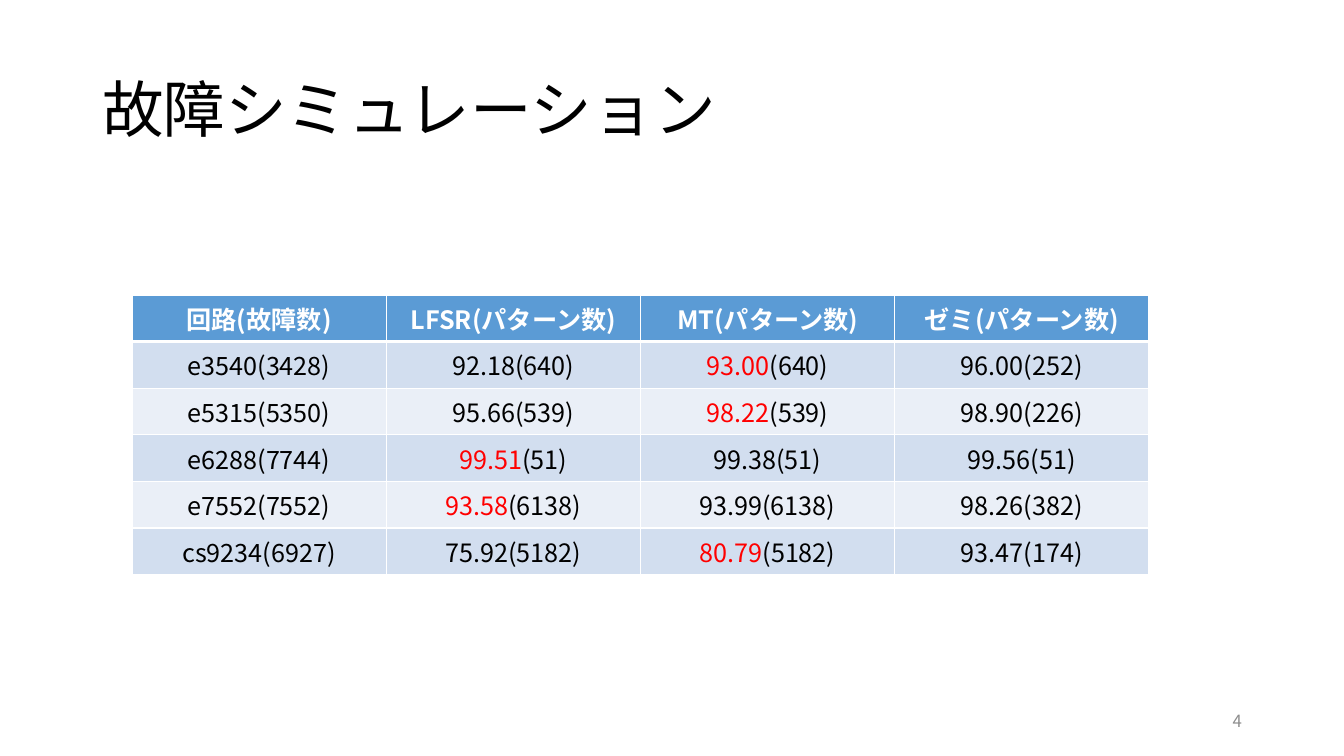
"""Build the fault simulation slide with its table of coverage results."""
import pptx
import pptx.dml.color
import pptx.enum.text
import pptx.oxml
import pptx.oxml.ns
import pptx.util

TITLE = "故障シミュレーション"
PAGE_NUMBER = "4"
HEADERS = ["回路(故障数)", "LFSR(パターン数)", "MT(パターン数)", "ゼミ(パターン数)"]
RESULTS = [
    ["e3540(3428)", "92.18(640)", "93.00(640)", "96.00(252)"],
    ["e5315(5350)", "95.66(539)", "98.22(539)", "98.90(226)"],
    ["e6288(7744)", "99.51(51)", "99.38(51)", "99.56(51)"],
    ["e7552(7552)", "93.58(6138)", "93.99(6138)", "98.26(382)"],
    ["cs9234(6927)", "75.92(5182)", "80.79(5182)", "93.47(174)"],
]
HIGHLIGHTS = {"93.00", "98.22", "99.51", "93.58", "80.79"}

FONT = "Noto Sans CJK JP"
BLACK, WHITE, RED, GRAY = "000000", "FFFFFF", "FF0000", "8C8C8C"
HEADER_FILL = "5B9BD5"
BAND_FILLS = ["D2DEEF", "EAEFF7"]
ALIGN = pptx.enum.text.PP_ALIGN
MIDDLE = pptx.enum.text.MSO_ANCHOR.MIDDLE
EMU_PER_PIXEL = 914400 / 100.8


def pixels(*lengths):
    return [round(length * EMU_PER_PIXEL) for length in lengths]


def color(value):
    return pptx.dml.color.RGBColor.from_string(value)


def add_text(paragraph, text, size=18, fill=BLACK, bold=False, align=ALIGN.CENTER):
    paragraph.alignment = align
    run = paragraph.add_run()
    run.text = text
    run.font.name = FONT
    run.font.size = pptx.util.Pt(size)
    run.font.bold = bold
    run.font.color.rgb = color(fill)
    east_asian = pptx.oxml.parse_xml(
        f'<a:ea {pptx.oxml.ns.nsdecls("a")} typeface="{FONT}"/>')
    run.font._element.find(pptx.oxml.ns.qn("a:latin")).addnext(east_asian)


def add_borders(cell, top, bottom):
    properties = cell._tc.get_or_add_tcPr()
    for side, width in {"L": 1, "R": 1, "T": top, "B": bottom}.items():
        properties.append(pptx.oxml.parse_xml(
            f'<a:ln{side} {pptx.oxml.ns.nsdecls("a")} w="{pptx.util.Pt(width)}">'
            f'<a:solidFill><a:srgbClr val="{WHITE}"/></a:solidFill></a:ln{side}>'))


def fill_cell(cell, text, row):
    paragraph = cell.text_frame.paragraphs[0]
    value, bracket, count = text.partition("(")
    if row == 0:
        add_text(paragraph, text, fill=WHITE, bold=True)
    elif value in HIGHLIGHTS:
        add_text(paragraph, value, fill=RED)
        add_text(paragraph, bracket + count)
    else:
        add_text(paragraph, text)
    add_borders(cell, top=3 if row == 1 else 1, bottom=3 if row == 0 else 1)
    cell.fill.solid()
    cell.fill.fore_color.rgb = color(BAND_FILLS[(row - 1) % 2] if row else HEADER_FILL)


presentation = pptx.Presentation()
presentation.slide_width, presentation.slide_height = pixels(1344, 756)
slide = presentation.slides.add_slide(presentation.slide_layouts.get_by_name("Title Only"))

title = slide.shapes.title
title.left, title.top, title.width, title.height = pixels(92, 40, 1159, 146)
title.text_frame.auto_size = pptx.enum.text.MSO_AUTO_SIZE.NONE
title.text_frame.vertical_anchor = MIDDLE
title.text_frame.paragraphs[0].line_spacing = 0.9
add_text(title.text_frame.paragraphs[0], TITLE, size=44, align=ALIGN.LEFT)

rows = [HEADERS] + RESULTS
table = slide.shapes.add_table(
    len(rows), len(HEADERS), *pixels(132, 295, 1017, 273)).table
for row, texts in enumerate(rows):
    for column, text in enumerate(texts):
        fill_cell(table.cell(row, column), text, row)

number_box = slide.shapes.add_textbox(*pixels(950, 701, 302, 40))
number_box.text_frame.word_wrap = True
number_box.text_frame.vertical_anchor = MIDDLE
add_text(number_box.text_frame.paragraphs[0], PAGE_NUMBER, size=12, fill=GRAY,
         align=ALIGN.RIGHT)

presentation.save("out.pptx")
